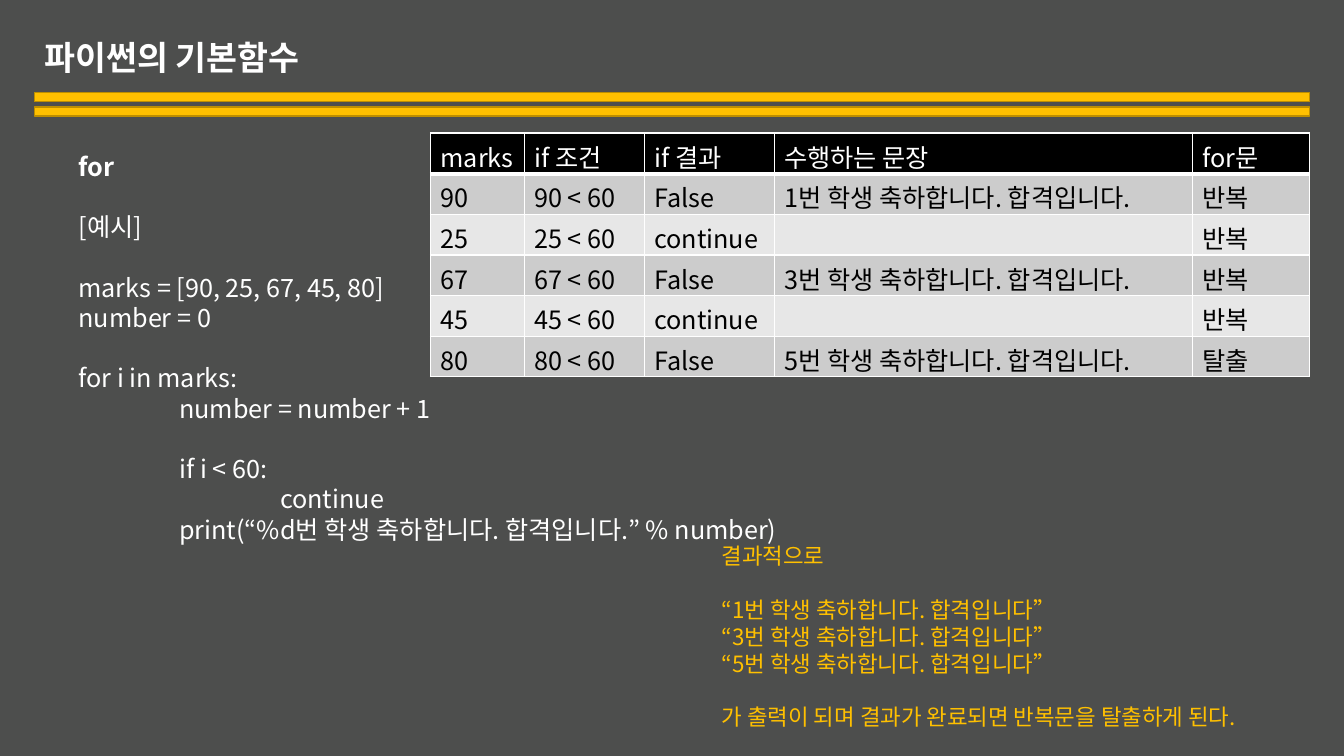
from lxml import etree
from pptx import Presentation
from pptx import util as u
from pptx.dml.color import RGBColor
from pptx.enum import shapes, text
from pptx.oxml.ns import qn

FONT = "Noto Sans CJK KR"
WHITE = RGBColor(0xFF, 0xFF, 0xFF)
BLACK = RGBColor(0, 0, 0)
GRAY = RGBColor(0x4D, 0x4E, 0x4D)
GOLD = RGBColor(0xFF, 0xC0, 0x00)
DARK_GOLD = RGBColor(0xBD, 0x8E, 0x00)
BANDS = [RGBColor(0xCC, 0xCC, 0xCC), RGBColor(0xE7, 0xE7, 0xE7)]

TITLE = "파이썬의 기본함수"
# (text, indent level, blank lines above)
CODE = [
    ("for", 0, 0),
    ("[예시]", 0, 1),
    ("marks = [90, 25, 67, 45, 80]", 0, 1),
    ("number = 0", 0, 0),
    ("for i in marks:", 0, 1),
    ("number = number + 1", 1, 0),
    ("if i < 60:", 1, 1),
    ("continue", 2, 0),
    ("print(“%d번 학생 축하합니다. 합격입니다.” % number)", 1, 0),
]
RESULT = [
    ("결과적으로", 0, 0),
    ("“1번 학생 축하합니다. 합격입니다”", 0, 1),
    ("“3번 학생 축하합니다. 합격입니다”", 0, 0),
    ("“5번 학생 축하합니다. 합격입니다”", 0, 0),
    ("가 출력이 되며 결과가 완료되면 반복문을 탈출하게 된다.", 0, 1),
]
TABLE = [
    ("marks", "if 조건", "if 결과", "수행하는 문장", "for문"),
    ("90", "90 < 60", "False", "1번 학생 축하합니다. 합격입니다.", "반복"),
    ("25", "25 < 60", "continue", "", "반복"),
    ("67", "67 < 60", "False", "3번 학생 축하합니다. 합격입니다.", "반복"),
    ("45", "45 < 60", "continue", "", "반복"),
    ("80", "80 < 60", "False", "5번 학생 축하합니다. 합격입니다.", "탈출"),
]
COLUMNS = [0.93, 1.19, 1.29, 4.15, 1.16]
MARGIN, WIDTH = 0.34, 12.65
BAR_TOP, BAR_STEP, BAR_HEIGHT = 0.92, 0.14, 0.09
TABLE_TOP, TABLE_HEIGHT = 1.32, 2.42
LINE_PITCH = 1.2


def inches(*lengths):
    return [u.Inches(n) for n in lengths]


def add_run(p, words, size, color, bold=False):
    r = p.add_run()
    r.text = words
    r.font.size, r.font.bold, r.font.name = u.Pt(size), bold, FONT
    r.font.color.rgb = color
    ea = etree.Element(qn("a:ea"), typeface=FONT)
    r.font._element.find(qn("a:latin")).addnext(ea)


def add_lines(slide, box, lines, size, color, bold_first=False):
    tf = slide.shapes.add_textbox(*inches(*box)).text_frame
    tf.word_wrap = True
    for i, (words, level, blanks) in enumerate(lines):
        p = tf.add_paragraph() if i else tf.paragraphs[0]
        p.space_before = u.Pt(blanks * size * LINE_PITCH)
        p._p.get_or_add_pPr().set("marL", str(u.Inches(level)))
        add_run(p, words, size, color, bold_first and i == 0)


def set_borders(cell, is_header, below_header):
    """Draw white borders, with a heavier rule under the header row."""
    pr = cell._tc.get_or_add_tcPr()
    for side in ("lnL", "lnR", "lnT", "lnB"):
        heavy = (is_header and side == "lnB") or (below_header and side == "lnT")
        ln = etree.SubElement(pr, qn("a:" + side), w=str(u.Pt(3 if heavy else 1)))
        fill = etree.SubElement(ln, qn("a:solidFill"))
        etree.SubElement(fill, qn("a:srgbClr"), val=str(WHITE))


def add_marks_table(slide):
    width = sum(COLUMNS)
    box = inches(MARGIN + WIDTH - width, TABLE_TOP, width, TABLE_HEIGHT)
    table = slide.shapes.add_table(len(TABLE), len(COLUMNS), *box).table
    for column, w in zip(table.columns, COLUMNS):
        column.width = u.Inches(w)
    for i, row in enumerate(TABLE):
        for j, words in enumerate(row):
            cell = table.cell(i, j)
            set_borders(cell, i == 0, i == 1)
            cell.fill.solid()
            cell.fill.fore_color.rgb = BANDS[(i - 1) % 2] if i else BLACK
            if words:
                add_run(cell.text_frame.paragraphs[0], words, 18, BLACK if i else WHITE)


def add_title(slide):
    title = slide.shapes.title
    title.left, title.top, title.width, title.height = inches(MARGIN, 0.26, WIDTH, 0.66)
    tf = title.text_frame
    tf.auto_size = text.MSO_AUTO_SIZE.NONE
    tf.vertical_anchor = text.MSO_ANCHOR.MIDDLE
    p = tf.paragraphs[0]
    p.alignment, p.line_spacing = text.PP_ALIGN.LEFT, 0.9
    add_run(p, TITLE, 24, WHITE, True)


def add_bars(slide):
    for i in range(2):
        box = inches(MARGIN, BAR_TOP + i * BAR_STEP, WIDTH, BAR_HEIGHT)
        sp = slide.shapes.add_shape(shapes.MSO_SHAPE.RECTANGLE, *box)
        sp.shadow.inherit = False
        sp.fill.solid()
        sp.fill.fore_color.rgb = GOLD
        sp.line.color.rgb = DARK_GOLD
        sp.line.width = u.Pt(1)


def main():
    prs = Presentation()
    prs.slide_width, prs.slide_height = inches(13.33, 7.5)
    slide = prs.slides.add_slide(prs.slide_layouts.get_by_name("Title Only"))
    slide.background.fill.solid()
    slide.background.fill.fore_color.rgb = GRAY
    add_bars(slide)
    add_title(slide)
    add_lines(slide, (0.68, 1.45, 8.82, 4.34), CODE, 18, WHITE, bold_first=True)
    add_marks_table(slide)
    add_lines(slide, (7.06, 5.33, 6.02, 2.02), RESULT, 16, GOLD)
    prs.save("out.pptx")


if __name__ == "__main__":
    main()
